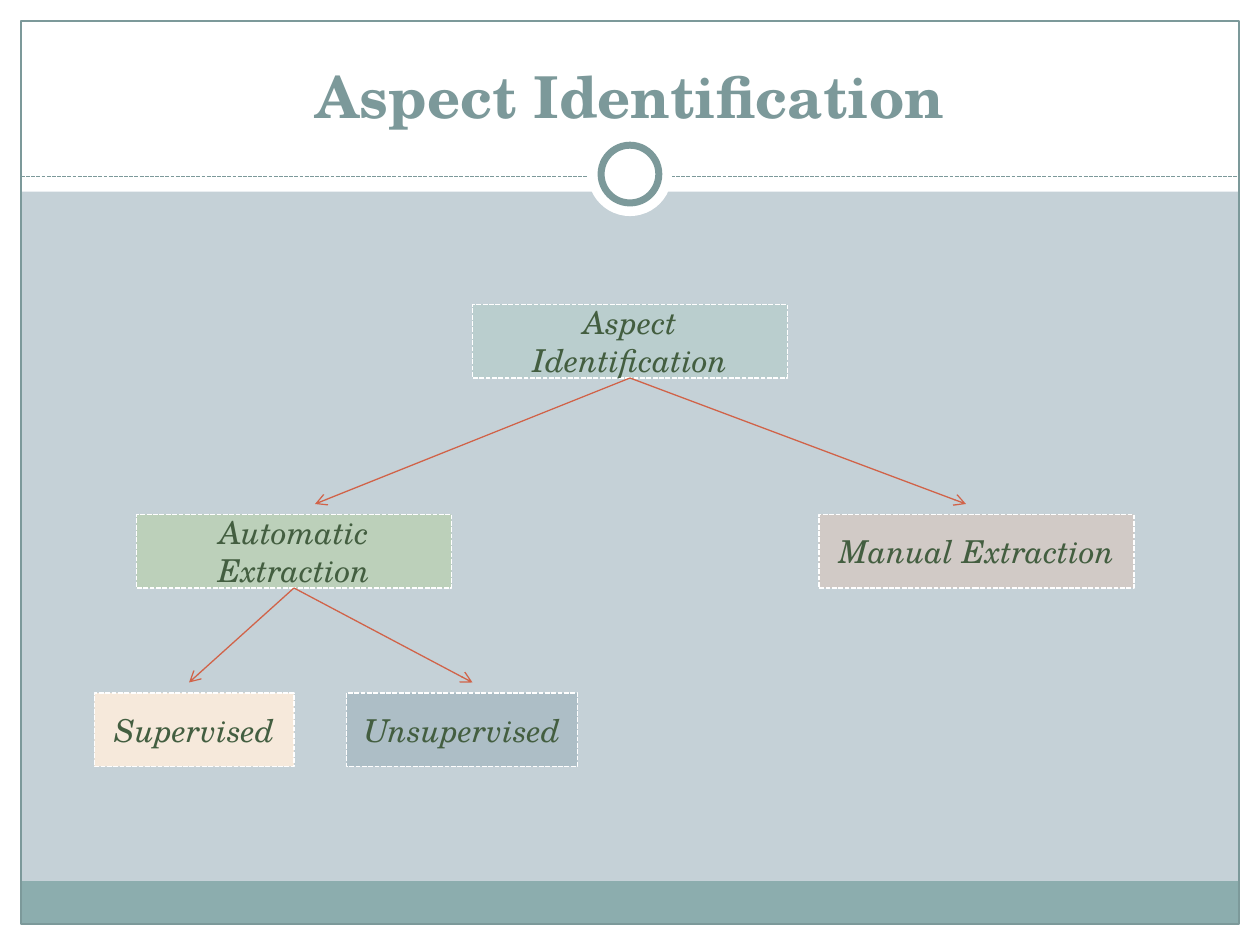
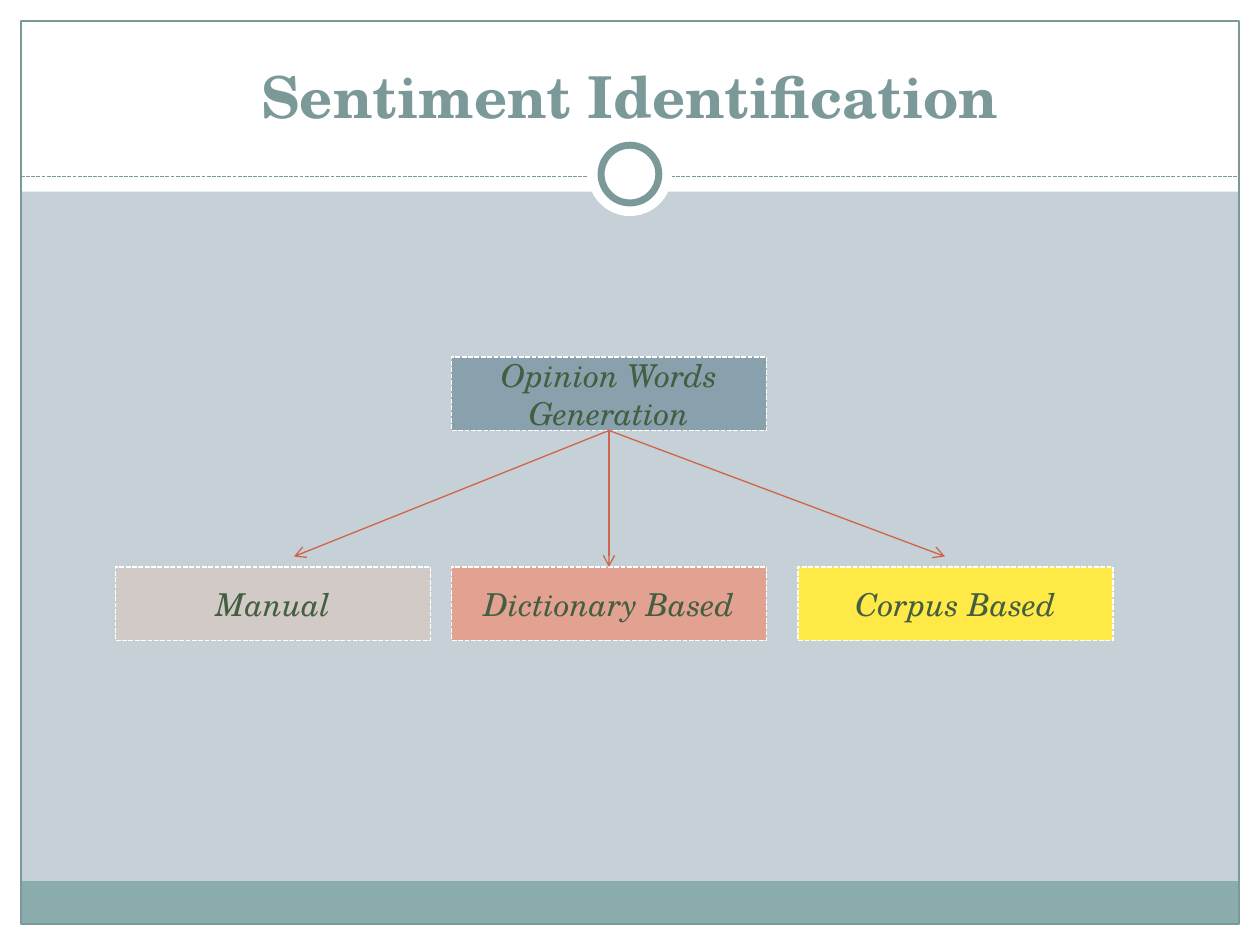
import pptx
import pptx.util
import pptx.dml.color
import pptx.enum.dml
import pptx.enum.shapes
import pptx.enum.text
import pptx.oxml
import pptx.oxml.ns
from dataclasses import dataclass
from typing import Any, Optional

Pt = pptx.util.Pt
Kind = pptx.enum.shapes.MSO_SHAPE
Align = pptx.enum.text.PP_ALIGN
Anchor = pptx.enum.text.MSO_ANCHOR
Dash = pptx.enum.dml.MSO_LINE

FONT = "TeX Gyre Schola"
HUES = {
    "back": "C5D1D7", "white": "FFFFFF", "band": "8CADAE", "trim": "7C999A",
    "text": "435E40", "arrow": "D16349", "mint": "BACECE", "green": "BCD0BA",
    "taupe": "D1CAC6", "cream": "F6E9DB", "mist": "ADBEC6", "steel": "88A1AD",
    "coral": "E3A192", "yellow": "FFE947",
}
WIDE, HIGH, EDGE = 720, 540, 12   # slide size and white margin
BOX_H = 42


@dataclass
class Part:
    """A plain shape of the slide frame."""
    x: float
    y: float
    w: float
    h: float
    fill: Optional[str] = "white"
    line: Optional[str] = None
    width: float = 0.75
    kind: Any = Kind.RECTANGLE


@dataclass
class Node:
    """A tree box; its arrow ends shift right of centre and gap above."""
    text: str
    x: float
    y: float
    fill: str
    w: float = 180
    up: Optional[int] = None      # index of the parent node
    shift: float = 0
    gap: float = 6


UNDER = [
    Part(0, HIGH - EDGE, WIDE, EDGE),
    Part(0, 0, WIDE, 109.5),
    Part(0, 0, EDGE, HIGH),
    Part(WIDE - EDGE, 0, EDGE, HIGH),
    Part(EDGE, 503.5, WIDE - 2 * EDGE, 24.5, "band"),
    Part(EDGE, EDGE, WIDE - 2 * EDGE, HIGH - 2 * EDGE, None, "trim"),
]
RING = [
    Part(336, 75.5, 48, 48, kind=Kind.OVAL),
    Part(343.5, 83, 33, 33, line="trim", width=4, kind=Kind.OVAL),
]

TREES = {
    "Aspect Identification": [
        Node("Aspect Identification", 270, 174, "mint"),
        Node("Automatic Extraction", 78, 294, "green", up=0, shift=12),
        Node("Manual Extraction", 468, 294, "taupe", up=0, shift=-6),
        Node("Supervised", 54, 396, "cream", 114, up=1, shift=-3),
        Node("Unsupervised", 198, 396, "mist", 132, up=1, shift=6),
    ],
    "Sentiment Identification": [
        Node("Opinion Words Generation", 258, 204, "steel"),
        Node("Manual", 66, 324, "taupe", up=0, shift=12),
        Node("Dictionary Based", 258, 324, "coral", up=0, gap=0),
        Node("Corpus Based", 456, 324, "yellow", up=0, shift=-6),
    ],
}


def color(name: str) -> Any:
    return pptx.dml.color.RGBColor.from_string(HUES[name])


def draw(slide: Any, part: Part) -> Any:
    shape = slide.shapes.add_shape(
        part.kind, Pt(part.x), Pt(part.y), Pt(part.w), Pt(part.h))
    shape.shadow.inherit = False
    if part.fill:
        shape.fill.solid()
        shape.fill.fore_color.rgb = color(part.fill)
    else:
        shape.fill.background()
    if part.line:
        shape.line.color.rgb = color(part.line)
        shape.line.width = Pt(part.width)
    else:
        shape.line.fill.background()
    return shape


def link(slide: Any, x1: float, y1: float, x2: float, y2: float,
         hue: str) -> Any:
    line = slide.shapes.add_connector(
        pptx.enum.shapes.MSO_CONNECTOR.STRAIGHT, Pt(x1), Pt(y1), Pt(x2), Pt(y2))
    line.line.color.rgb = color(hue)
    line.line.width = Pt(0.75)
    props = line.element.spPr
    props.append(pptx.oxml.parse_xml(
        f"<a:effectLst {pptx.oxml.ns.nsdecls('a')}/>"))
    return line


def write(shape: Any, text: str, size: float, hue: str, anchor: Any,
          bold: bool = False, slant: bool = False) -> None:
    frame = shape.text_frame
    frame.text = text
    frame.word_wrap = True
    frame.auto_size = pptx.enum.text.MSO_AUTO_SIZE.NONE
    frame.vertical_anchor = anchor
    para = frame.paragraphs[0]
    para.alignment = Align.CENTER
    font = para.font
    font.name, font.size = FONT, Pt(size)
    font.bold, font.italic = bold, slant
    font.color.rgb = color(hue)


def set_frame(slide: Any) -> None:
    """Draw the shared frame and hand it to the slide's layout."""
    layout = slide.slide_layout
    layout.background.fill.solid()
    layout.background.fill.fore_color.rgb = color("back")
    for holder in list(layout.placeholders)[1:]:
        layout.shapes.element.remove(holder.element)
    shapes = [draw(slide, part) for part in UNDER]
    rule = link(slide, EDGE, 100.8, WIDE - EDGE, 100.8, "trim")
    rule.line.dash_style = Dash.SQUARE_DOT
    shapes.append(rule)
    shapes += [draw(slide, part) for part in RING]
    for shape in shapes:
        layout.shapes.element.append(shape.element)


def set_title(slide: Any, text: str) -> None:
    title = slide.shapes.title
    title.left, title.top = Pt(24), Pt(18)
    title.width, title.height = Pt(672), Pt(60)
    write(title, text, 33, "trim", Anchor.BOTTOM, bold=True)


def grow(slide: Any, nodes: list[Node]) -> None:
    """Draw the boxes, each with an arrow from its parent."""
    for node in nodes:
        box = draw(slide, Part(node.x, node.y, node.w, BOX_H,
                               node.fill, "white", 0.9))
        box.line.dash_style = Dash.SQUARE_DOT
        write(box, node.text, 18, "text", Anchor.MIDDLE, slant=True)
        if node.up is None:
            continue
        top = nodes[node.up]
        arrow = link(slide, top.x + top.w / 2, top.y + BOX_H,
                     node.x + node.w / 2 + node.shift, node.y - node.gap,
                     "arrow")
        arrow.line._get_or_add_ln().append(pptx.oxml.parse_xml(
            f"<a:tailEnd {pptx.oxml.ns.nsdecls('a')} type='arrow'/>"))


def main() -> None:
    deck = pptx.Presentation()
    deck.slide_width, deck.slide_height = Pt(WIDE), Pt(HIGH)
    layout = deck.slide_layouts[5]   # title only
    for index, (title, nodes) in enumerate(TREES.items()):
        slide = deck.slides.add_slide(layout)
        if index == 0:
            set_frame(slide)
        set_title(slide, title)
        grow(slide, nodes)
    deck.save("out.pptx")


if __name__ == "__main__":
    main()
